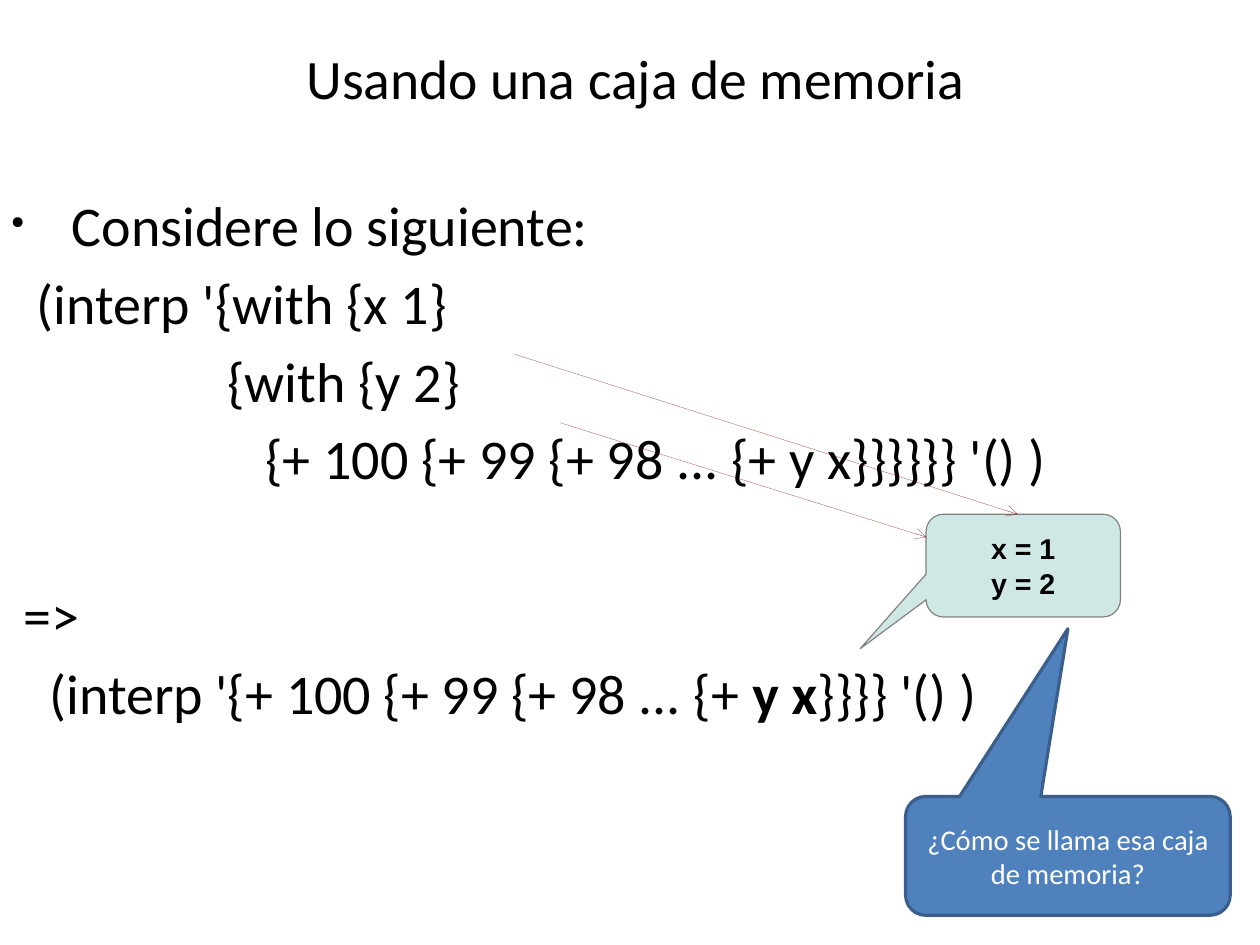
from dataclasses import dataclass

from lxml import etree
from pptx import Presentation
from pptx.dml.color import RGBColor
from pptx.enum.shapes import MSO_CONNECTOR, MSO_SHAPE
from pptx.enum.text import MSO_ANCHOR, MSO_AUTO_SIZE, PP_ALIGN
from pptx.oxml.ns import qn
from pptx.util import Cm, Inches, Pt

LINE = MSO_CONNECTOR.STRAIGHT
CALLOUT = MSO_SHAPE.ROUNDED_RECTANGULAR_CALLOUT
TOP, MIDDLE = MSO_ANCHOR.TOP, MSO_ANCHOR.MIDDLE
FIXED = MSO_AUTO_SIZE.NONE
LEFT, CENTER = PP_ALIGN.LEFT, PP_ALIGN.CENTER

WIDTH, HEIGHT = Cm(28), Cm(21)
STEP = Pt(8)
HANG = Inches(0.53)


@dataclass(frozen=True)
class Theme:
    """Colours, fonts and type sizes of the slide."""
    ink: str = "000000"
    paper: str = "FFFFFF"
    mint: str = "CFE7E5"
    gray: str = "808080"
    wine: str = "800000"
    blue: str = "4F81BD"
    navy: str = "3A5F8C"
    sans: str = "Calibri"
    mono: str = "Arial"
    head: float = 35
    body: float = 35.3
    note: float = 18
    gap: float = 6.7


THEME = Theme()

CODE = [
    (2, 1, ["(interp '{with {x 1}"]),
    (17, 1, ["{with {y 2}"]),
    (20, 1, ["{+ 100 {+ 99 {+ 98 ... {+ y x}}}}}} '() )"]),
    (1, 2, ["=>"]),
    (3, 1, ["(interp '{+ 100 {+ 99 {+ 98 ... {+ ", "y x", "}}}} '() )"]),
]


def spot(x, y):
    """Turn percentages of the slide into a point."""
    return int(WIDTH * x / 100), int(HEIGHT * y / 100)


def area(x, y, w, h):
    """Turn percentages of the slide into a box."""
    return spot(x, y) + spot(w, h)


def style(para, size, color, face=THEME.sans, align=LEFT, bold=None):
    """Set the font and alignment of a paragraph."""
    para.alignment = align
    font = para.font
    font.name, font.size, font.bold = face, Pt(size), bold
    font.color.rgb = RGBColor.from_string(color)


def add_title(slide, text, box):
    """Place and format the title."""
    title = slide.shapes.title
    title.left, title.top, title.width, title.height = box
    frame = title.text_frame
    frame.text = text
    frame.auto_size, frame.vertical_anchor = FIXED, MIDDLE
    style(frame.paragraphs[0], THEME.head, THEME.ink, align=CENTER)


def add_bullet(para):
    """Give a paragraph a small hanging bullet."""
    props = para._p.get_or_add_pPr()
    props.set("marL", str(HANG))
    props.set("indent", str(-HANG))
    mark = props.find(qn("a:defRPr"))
    for tag, key, value in (("a:buSzPct", "val", "30000"),
                            ("a:buChar", "char", "●")):
        item = etree.SubElement(props, qn(tag))
        item.set(key, value)
        if mark is not None:
            mark.addprevious(item)


def add_code(slide, lead, rows, box):
    """Write the bullet and the indented code below it."""
    frame = slide.shapes.add_textbox(*box).text_frame
    frame.word_wrap, frame.vertical_anchor = True, TOP
    first = frame.paragraphs[0]
    first.text = lead
    first.space_before = Pt(THEME.gap)
    style(first, THEME.body, THEME.ink)
    add_bullet(first)
    pitch = THEME.body * 1.22 + THEME.gap
    for depth, lines, parts in rows:
        para = frame.add_paragraph()
        para.space_before = Pt(THEME.gap + (lines - 1) * pitch)
        style(para, THEME.body, THEME.ink)
        para._p.get_or_add_pPr().set("marL", str(depth * STEP))
        for rank, part in enumerate(parts):
            run = para.add_run()
            run.text = part
            if rank == 1:
                run.font.bold = True


def add_callout(slide, lines, box, tip, fill, edge, width, wrap, **look):
    """Draw a rounded callout with centred text."""
    shape = slide.shapes.add_shape(CALLOUT, *box)
    shape.shadow.inherit = False
    for rank, value in enumerate((*tip, 0.17)):
        shape.adjustments[rank] = value
    shape.fill.solid()
    shape.fill.fore_color.rgb = RGBColor.from_string(fill)
    shape.line.color.rgb = RGBColor.from_string(edge)
    shape.line.width = Pt(width)
    frame = shape.text_frame
    frame.word_wrap, frame.vertical_anchor = wrap, MIDDLE
    frame.text = "\n".join(lines)
    for para in frame.paragraphs:
        style(para, THEME.note, align=CENTER, **look)


def add_arrow(slide, start, end):
    """Draw a hairline with an open arrowhead at its end."""
    line = slide.shapes.add_connector(LINE, *spot(*start), *spot(*end))
    line.line.color.rgb = RGBColor.from_string(THEME.wine)
    line.line.width = Pt(0)
    node = line._element
    node.remove(node.find(qn("p:style")))
    props = node.spPr
    etree.SubElement(props.find(qn("a:ln")), qn("a:tailEnd")).set("type", "arrow")
    etree.SubElement(props, qn("a:effectLst"))


def main():
    """Build the slide and save it."""
    deck = Presentation()
    deck.slide_width, deck.slide_height = WIDTH, HEIGHT
    slide = deck.slides.add_slide(deck.slide_layouts[5])
    add_title(slide, "Usando una caja de memoria", area(10.89, 2.66, 79.13, 11))
    add_code(slide, "Considere lo siguiente:", CODE, area(0, 19.55, 90, 60.5))
    add_callout(slide, ["x = 1", "y = 2"], area(73.5, 54.41, 15.43, 10.88),
                (-0.84, 0.81), THEME.mint, THEME.gray, 0, False,
                color=THEME.ink, face=THEME.mono, bold=True)
    add_arrow(slide, (40.83, 37.48), (80.76, 54.41))
    add_arrow(slide, (44.46, 44.74), (73.5, 56.83))
    add_callout(slide, ["¿Cómo se llama esa caja de memoria?"],
                area(71.87, 84.28, 25.77, 12.58), (0, -1.91),
                THEME.blue, THEME.navy, 2, True, color=THEME.paper)
    deck.save("out.pptx")


if __name__ == "__main__":
    main()
